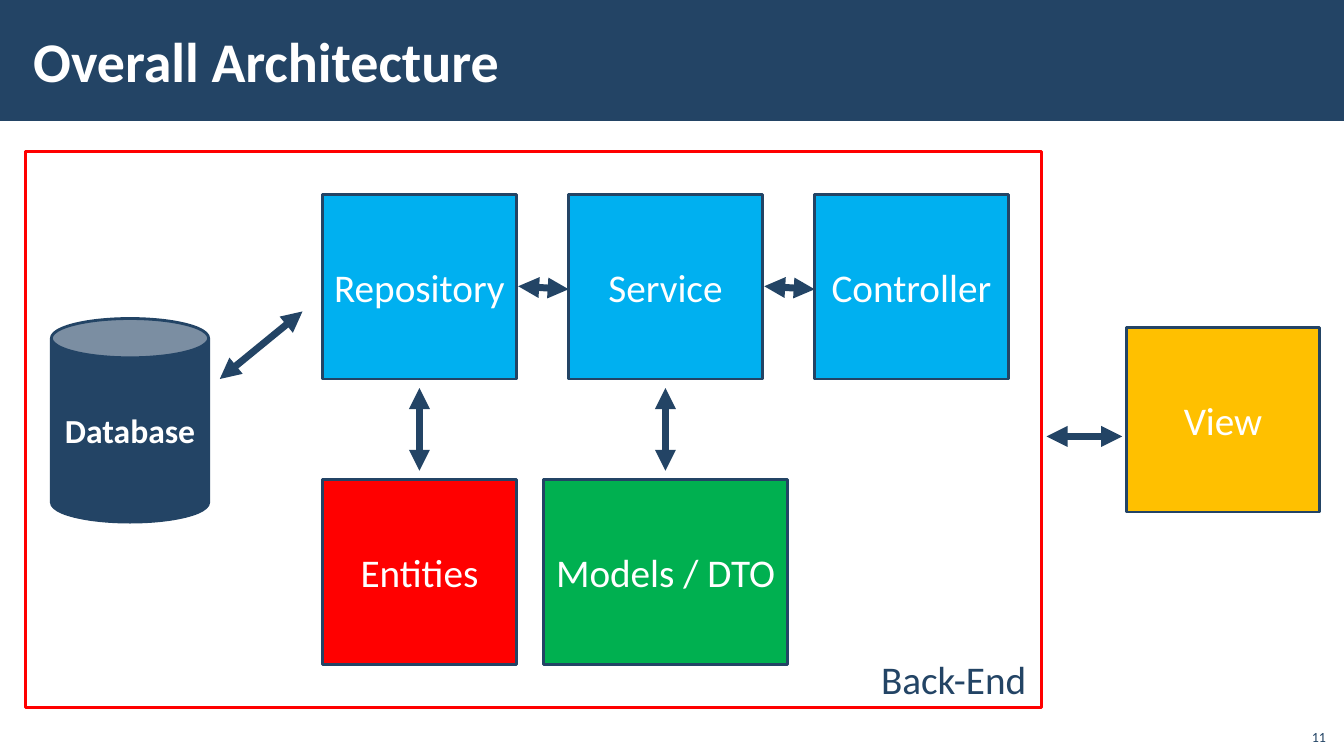
import lxml.etree
import pptx
import pptx.dml.color
import pptx.enum.shapes
import pptx.enum.text
import pptx.oxml.ns
import pptx.util

Inches = pptx.util.Inches
Pt = pptx.util.Pt
RGB = pptx.dml.color.RGBColor.from_string
SHAPE = pptx.enum.shapes.MSO_SHAPE
ALIGN = pptx.enum.text.PP_ALIGN
ANCHOR = pptx.enum.text.MSO_ANCHOR
qn = pptx.oxml.ns.qn

COLORS = {
    "navy": "234465",
    "white": "FFFFFF",
    "blue": "00B0F0",
    "green": "00B050",
    "red": "FF0000",
    "amber": "FFC000",
}


def write(holder, text, size, color="white", bold=False, align=ALIGN.CENTER, anchor=ANCHOR.MIDDLE):
    frame = holder.text_frame
    frame.word_wrap = True
    frame.vertical_anchor = anchor
    paragraph = frame.paragraphs[0]
    paragraph.alignment = align
    run = paragraph.add_run()
    run.text = text
    font_format = {"name": "Calibri", "size": Pt(size), "bold": bold}
    for attribute, value in font_format.items():
        setattr(run.font, attribute, value)
    run.font.color.rgb = RGB(COLORS[color])


def add_block(kind, left, top, width, height, fill=None, line=None):
    """Add a preset shape without shadow; no colour means no fill or no line."""
    block = slide.shapes.add_shape(kind, Inches(left), Inches(top), Inches(width), Inches(height))
    block.shadow.inherit = False
    if fill:
        block.fill.solid()
        block.fill.fore_color.rgb = RGB(COLORS[fill])
    else:
        block.fill.background()
    if line:
        block.line.color.rgb = RGB(COLORS[line])
        block.line.width = Pt(2)
    else:
        block.line.fill.background()
    return block


deck = pptx.Presentation()
deck.slide_width = Inches(13.33)
deck.slide_height = Inches(7.5)
slide = deck.slides.add_slide(deck.slide_layouts[6])

# Header band and back-end frame
add_block(SHAPE.RECTANGLE, 0, 0, 13.33, 1.2, fill="navy")
add_block(SHAPE.RECTANGLE, 0.25, 1.5, 10.08, 5.52, line="red")

title = slide.shapes.add_textbox(Inches(0.21), Inches(0.11), Inches(10.63), Inches(0.97))
title_margins = {"margin_left": 0.12, "margin_right": 0.12, "margin_top": 0.04, "margin_bottom": 0.04}
for side, margin in title_margins.items():
    setattr(title.text_frame, side, Inches(margin))
write(title, "Overall Architecture", 40, bold=True, align=ALIGN.LEFT)

# Components
database = add_block(SHAPE.CAN, 0.51, 3.16, 1.56, 2.02, fill="navy", line="navy")
write(database, "Database", 24, bold=True)

first_column, column_step = 3.2, 2.44
layer_top, data_top = 1.93, 4.76
box_width, box_height = 1.92, 1.83
models_width = 2.42
models_left = first_column + column_step + (box_width - models_width) / 2

components = [
    (name, first_column + column * column_step, layer_top, box_width, "blue")
    for column, name in enumerate(["Repository", "Service", "Controller"])
]
components += [
    ("Entities", first_column, data_top, box_width, "red"),
    ("Models / DTO", models_left, data_top, models_width, "green"),
    ("View", 11.17, 3.25, box_width, "amber"),
]
for name, left, top, width, fill in components:
    component = add_block(SHAPE.RECTANGLE, left, top, width, box_height, fill=fill, line="navy")
    write(component, name, 28)

# Two-way arrows: database to repository, back end to view, then the grid
arrows = [(2.18, 3.76, 3, 3.09), (10.38, 4.33, 11.13, 4.33)]
for column in range(2):
    left = first_column + column * column_step
    center = left + box_width / 2
    arrows.append((center, 4.67, center, 3.85))
    arrows.append((left + 1.94, 2.84, left + column_step, 2.87))

for start_x, start_y, end_x, end_y in arrows:
    arrow = slide.shapes.add_connector(
        pptx.enum.shapes.MSO_CONNECTOR.STRAIGHT,
        Inches(start_x), Inches(start_y), Inches(end_x), Inches(end_y),
    )
    arrow.line.color.rgb = RGB(COLORS["navy"])
    arrow.line.width = Pt(5)
    outline = arrow.line._get_or_add_ln()
    for end in ("a:headEnd", "a:tailEnd"):
        lxml.etree.SubElement(outline, qn(end), type="triangle")
    lxml.etree.SubElement(arrow._element.spPr, qn("a:effectLst"))

# Labels
back_end = slide.shapes.add_textbox(Inches(8.64), Inches(6.45), Inches(1.7), Inches(0.57))
write(back_end, "Back-End", 28, "navy", align=ALIGN.LEFT, anchor=ANCHOR.TOP)

page_number = slide.shapes.add_textbox(Inches(12.85), Inches(7.12), Inches(0.4), Inches(0.32))
write(page_number, "11", 10, "navy", align=ALIGN.RIGHT, anchor=ANCHOR.BOTTOM)

deck.save("out.pptx")
